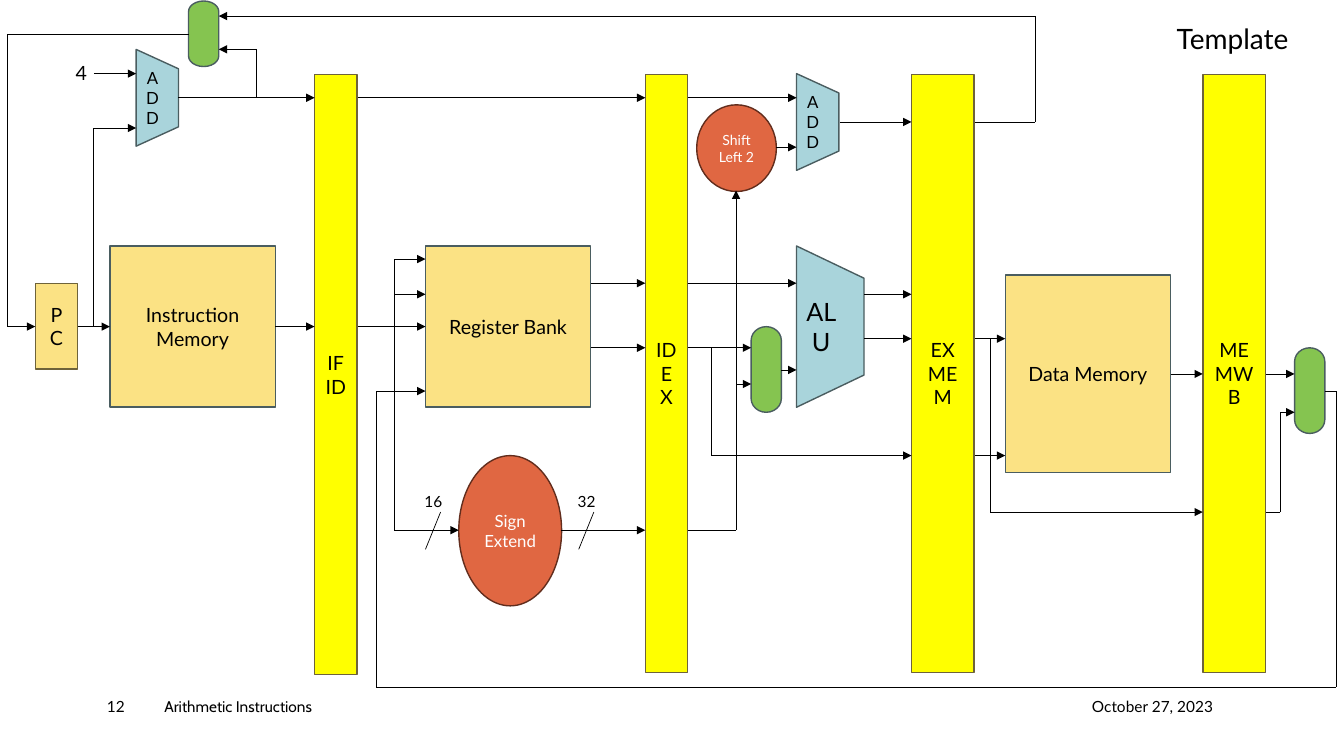
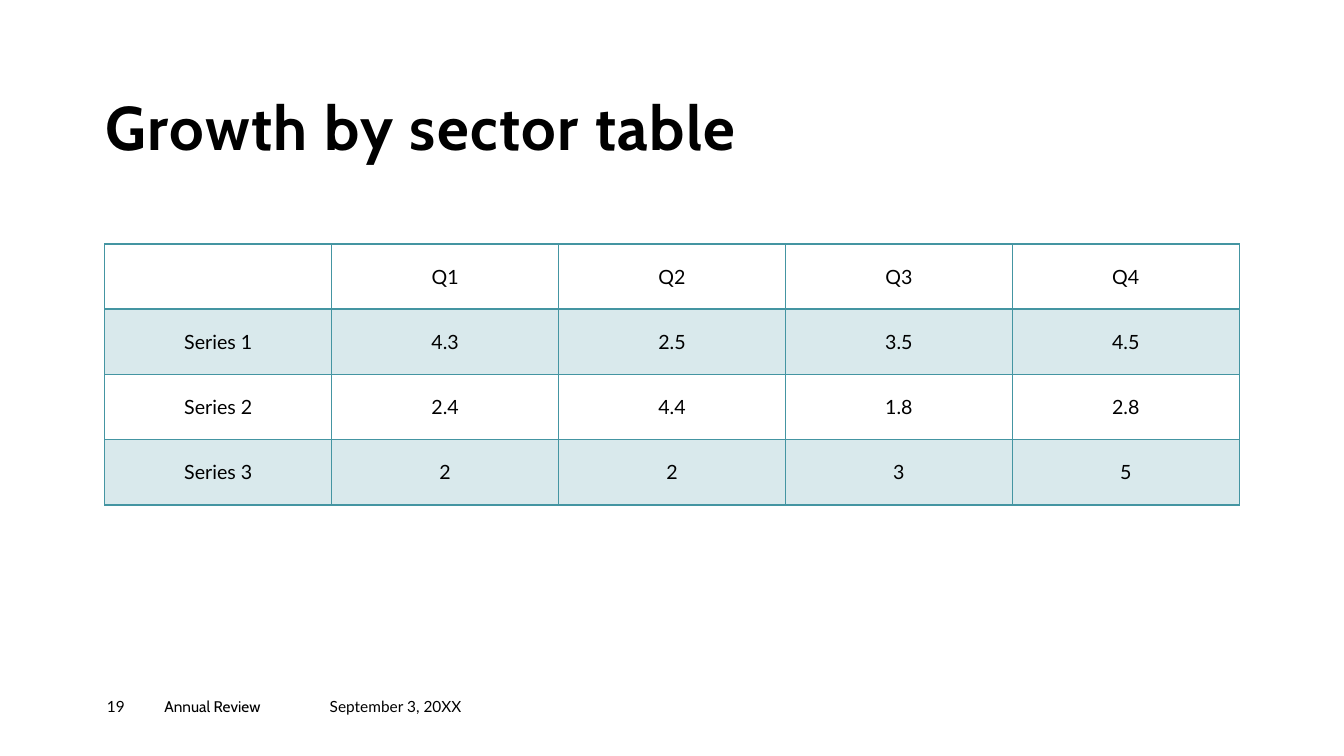
from pptx import Presentation as Show
from pptx.dml.color import RGBColor as Rgb
from pptx.enum.shapes import MSO_CONNECTOR as Link, MSO_SHAPE as Form
from pptx.enum.text import MSO_ANCHOR as Anchor, MSO_AUTO_SIZE as Fit, PP_ALIGN as Align
from pptx.oxml.ns import qn
from pptx.util import Inches, Pt
from lxml.etree import SubElement as Sub, Element as Node

INK = {
    "black": "000000", "white": "FFFFFF", "sand": "FBE284", "yellow": "FFFF00",
    "sky": "A9D4DB", "green": "85C450", "rust": "E06742", "teal": "4495A2",
    "slate": "4A5D60", "olive": "6E633A", "brown": "622D1D",
}
WIDE, HIGH = 133.3, 75
BODY, HEAD = "Lato", "Cabin"


def cells(*spans):
    return [Inches(span / 10) for span in spans]


def hue(name):
    return Rgb.from_string(INK[name])


def put(frame, text, size=14, font=BODY, ink="black", bold=False, align=Align.LEFT,
        anchor=Anchor.TOP, pad=None, lead=None, track=None):
    frame.word_wrap = True
    frame.auto_size = Fit.NONE
    frame.vertical_anchor = anchor
    if pad is not None:
        frame.margin_left = frame.margin_right = Pt(pad)
        frame.margin_top = frame.margin_bottom = Pt(pad)
    for count, line in enumerate(text.split("\n")):
        para = frame.paragraphs[0] if count == 0 else frame.add_paragraph()
        para.alignment = align
        if lead:
            para.line_spacing = lead
        run = para.add_run()
        run.text = line
        run.font.size, run.font.name, run.font.bold = Pt(size), font, bold
        run.font.color.rgb = hue(ink)
        if track:
            run.font._element.set("spc", str(track * 100))


class Deck:
    def __init__(self):
        self.show = Show()
        self.show.slide_width, self.show.slide_height = cells(WIDE, HIGH)

    def page(self, title, box, **style):
        self.slide = self.show.slides.add_slide(self.show.slide_layouts[5])
        head = self.slide.shapes.title
        head.left, head.top, head.width, head.height = cells(*box)
        put(head.text_frame, title, pad=0, **style)

    def label(self, text, box, **style):
        area = self.slide.shapes.add_textbox(*cells(*box))
        put(area.text_frame, text, pad=0, **style)

    def foot(self, page, name, date, left):
        top, high = 69.2, 2.7
        self.label(page, (10.6, top, 5.7, high), size=11)
        self.label(name, (16.3, top, 16.4, high), size=11, font=HEAD)
        self.label(date, (left, top, 14.4, high), size=11)

    def block(self, text, box, form=Form.RECTANGLE, fill="sand", edge="slate",
              size=14, ink="black", turn=False):
        left, top, wide, high = box
        if turn:
            left, top = left + (wide - high) / 2, top + (high - wide) / 2
            wide, high = high, wide
        shape = self.slide.shapes.add_shape(form, *cells(left, top, wide, high))
        shape.shadow.inherit = False
        shape.fill.solid()
        shape.fill.fore_color.rgb = hue(fill)
        shape.line.color.rgb = hue(edge)
        shape.line.width = Pt(1)
        if turn:
            shape.rotation = 270
        if text:
            put(shape.text_frame, text, size, ink=ink, align=Align.CENTER, anchor=Anchor.MIDDLE)
            if turn:
                shape.text_frame._txBody.bodyPr.set("vert", "eaVert")

    def stage(self, text, left, wide, high=59.3):
        self.block(text, (left, 7.4, wide, high), fill="yellow", edge="olive")

    def adder(self, text, box, size=12):
        self.block(text, box, Form.FLOWCHART_MANUAL_OPERATION, "sky", size=size, turn=True)

    def switch(self, left, top, high=8.5):
        self.block("", (left, top, 3, high), Form.FLOWCHART_TERMINATOR, "green", turn=True)

    def oval(self, text, box, size):
        self.block(text, box, Form.OVAL, "rust", "brown", size, "white")

    def line(self, start, end, arrow=False):
        link = self.slide.shapes.add_connector(Link.STRAIGHT, *cells(*start, *end))
        link.line.color.rgb = hue("black")
        link.line.width = Pt(0.5)
        if arrow:
            Sub(link.line._get_or_add_ln(), qn("a:tailEnd"), type="triangle")
        Sub(link._element.spPr, qn("a:effectLst"))

    def wire(self, left, top, *turns, rise=False):
        spot = (left, top)
        for count, turn in enumerate(turns, 1):
            goal = (spot[0], turn) if rise else (turn, spot[1])
            self.line(spot, goal, count == len(turns))
            spot, rise = goal, not rise

    def table(self, rows, box):
        count = len(rows[0])
        grid = self.slide.shapes.add_table(len(rows), count, *cells(*box)).table
        grid.first_row = grid.horz_banding = False
        for col in grid.columns:
            col.width = cells(box[2] / count)[0]
        for at, row in enumerate(rows):
            for nth, text in enumerate(row):
                cell = grid.cell(at, nth)
                cell.vertical_anchor = Anchor.MIDDLE
                if text:
                    put(cell.text_frame, text, align=Align.CENTER, anchor=Anchor.MIDDLE)
                    cell.text_frame.auto_size = None
                if at % 2:
                    cell.fill.solid()
                    cell.fill.fore_color.rgb = hue("teal")
                    tint = cell._tc.tcPr.find(".//" + qn("a:srgbClr"))
                    Sub(tint, qn("a:alpha"), val="20000")
                else:
                    cell.fill.background()
                self.edge(cell, {"T": 2 if at == 1 else 1, "B": 2 if at == 0 else 1})

    def edge(self, cell, widths):
        for at, side in enumerate("LRTB"):
            rule = Node(qn("a:ln" + side), w=str(Pt(widths.get(side, 1))))
            Sub(Sub(rule, qn("a:solidFill")), qn("a:srgbClr"), val=INK["teal"])
            cell._tc.tcPr.insert(at, rule)


def main():
    deck = Deck()
    bus, top, low = 32.4, 9.7, 52.6

    deck.page("Template", (116.7, 2.1, 13.7, 3.4), size=20)
    deck.foot("12", "Arithmetic Instructions", "October 27, 2023", 108.3)

    deck.block("PC", (3.5, 28.1, 4.2, 8.5), edge="olive")
    deck.block("Instruction Memory", (10.9, 24.4, 16.4, 16))
    deck.block("Register Bank", (42.2, 24.4, 16.4, 16))
    deck.block("Data Memory", (99.7, 27.3, 16.4, 19.6))
    deck.stage("IF\nID", 31.2, 4.2, 59.5)
    deck.stage("ID\nEX", 64, 4.2)
    deck.stage("EX\nMEM", 90.4, 6.2)
    deck.stage("MEMWB", 119.3, 6.2)
    deck.adder("ALU", (79, 24.4, 6.7, 16), 18)
    deck.adder("ADD", (13.5, 4.9, 4.2, 9.6))
    deck.adder("ADD", (79, 7.3, 4.2, 9.6))
    deck.oval("Sign Extend", (45.5, 45.2, 10.2, 14.9), 12)
    deck.oval("Shift Left 2", (69.1, 10.4, 7.9, 8.6), 10)
    deck.switch(18.7, 0.1, 6.5)
    deck.switch(74.5, 32.4)
    deck.switch(128.4, 34.5)

    for left, row, right in (
        (7.7, bus, 10.9), (27.3, bus, 31.2), (35.5, bus, 42.2), (39.1, 29.2, 42.2),
        (55.6, low, 64), (58.6, 28.1, 64), (58.6, 34.5, 64), (9.3, 7.3, 13.5),
        (17.7, top, 31.2), (35.5, top, 64), (68.2, top, 79), (83.3, 12.1, 90.4),
        (68.2, 28.1, 79), (85.7, 29.2, 90.4), (85.7, 33.6, 90.4), (116.1, 37.1, 119.3),
        (96.7, 33.6, 99.7), (96.7, 45.2, 99.7), (77, 14.6, 79), (68.2, 34.5, 74.5),
        (73, 38.1, 74.5), (77.5, 36.7, 79), (125.6, 37.1, 128.4),
    ):
        deck.wire(left, row, right)

    for start, turns in (
        ((39.1, bus), (25.7, 42.2)), ((39.1, bus), (low, 45.5)),
        ((9.3, bus), (12.7, 13.5)), ((70.6, 34.5), (45.2, 90.4)),
        ((25.4, top), (4.9, 21.7)), ((98.2, 33.6), (50.8, 119.3)),
    ):
        deck.wire(*start, *turns, rise=True)

    deck.wire(68.2, low, 73, 18.9)
    deck.wire(96.7, 12.1, 102.7, 1.6, 21.7)
    deck.wire(125.6, 50.8, 127, 40.9, 128.4)
    deck.wire(131.4, 38.8, 132.5, 68.2, 37.3, 38.8, 42.2)
    deck.wire(18.7, 3.4, 0.7, bus, 3.5)

    deck.label("4", (7.5, 6, 2, 2.4))
    for text, left in (("16", 42.1), ("32", 57.3)):
        deck.label(text, (left, 48.8, 2.9, 1.9), size=11)
        deck.line((left + 1.6, 50.8), (left + 0.1, 54.5))

    deck.page("Growth by sector table", (10.5, 2.3, 112.5, 14), size=44, font=HEAD,
              bold=True, anchor=Anchor.BOTTOM, lead=0.9, track=1)
    deck.foot("19", "Annual Review", "September 3, 20XX", 32.7)
    deck.table((
        ("", "Q1", "Q2", "Q3", "Q4"),
        ("Series 1", "4.3", "2.5", "3.5", "4.5"),
        ("Series 2", "2.4", "4.4", "1.8", "2.8"),
        ("Series 3", "2", "2", "3", "5"),
    ), (10.4, 24.2, 112.5, 25.9))

    deck.show.save("out.pptx")


if __name__ == "__main__":
    main()
